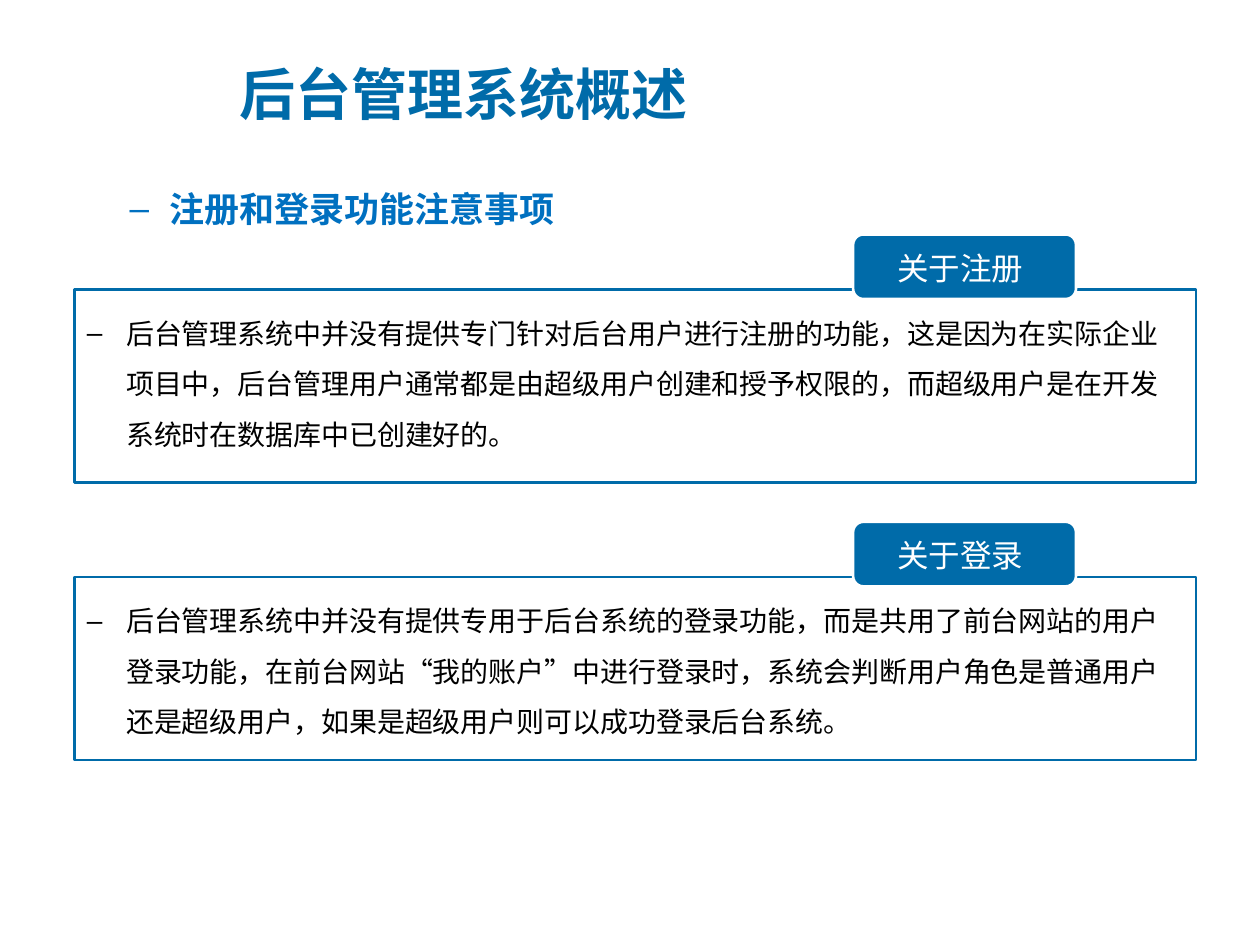
from dataclasses import dataclass
from typing import NamedTuple

from lxml import etree
from pptx import Presentation
from pptx.dml.color import RGBColor
from pptx.enum.shapes import MSO_SHAPE
from pptx.enum.text import MSO_ANCHOR, MSO_AUTO_SIZE, PP_ALIGN
from pptx.oxml.ns import qn
from pptx.util import Pt

RECTANGLE, ROUNDED = MSO_SHAPE.RECTANGLE, MSO_SHAPE.ROUNDED_RECTANGLE
TOP, MIDDLE = MSO_ANCHOR.TOP, MSO_ANCHOR.MIDDLE
LEFT, NO_FIT = PP_ALIGN.LEFT, MSO_AUTO_SIZE.NONE


@dataclass(frozen=True)
class Theme:
    brand: str = "006BA9"
    heading: str = "0070C0"
    ink: str = "000000"
    paper: str = "FFFFFF"
    cjk: str = "Noto Sans CJK SC"
    title_size: float = 32
    heading_size: float = 20
    tag_size: float = 18
    body_size: float = 16
    line_width: float = 1.5
    panel_opacity: int = 90


class Box(NamedTuple):
    left: float
    top: float
    width: float
    height: float

    def lengths(self) -> list:
        return [Pt(value) for value in self]


class TextStyle(NamedTuple):
    size: float
    color: str
    font: str
    bold: bool = False
    anchor: MSO_ANCHOR = TOP
    wrap: bool = True
    dash_margin: float = 0  # text margin of a dashed paragraph, 0 for no dash
    space_before: float = 0


class Note(NamedTuple):
    tag: str
    body: str
    top: float
    height: float


THEME = Theme()
TITLE = TextStyle(THEME.title_size, THEME.brand, THEME.cjk, bold=True, anchor=MIDDLE)
HEADING = TextStyle(THEME.heading_size, THEME.heading, "Arial", bold=True,
                    dash_margin=58.5, space_before=4)
BODY = TextStyle(THEME.body_size, THEME.ink, "Calibri", dash_margin=22.5)
TAG = TextStyle(THEME.tag_size, THEME.paper, THEME.cjk, wrap=False)

HANGING = 22.5
NOTE_LEFT, NOTE_WIDTH = 42.5, 641
NOTES = [
    Note("关于注册",
         "后台管理系统中并没有提供专门针对后台用户进行注册的功能，这是因为在实际企业项目中，"
         "后台管理用户通常都是由超级用户创建和授予权限的，而超级用户是在开发系统时在数据库中已创建好的。",
         165.6, 110),
    Note("关于登录",
         "后台管理系统中并没有提供专用于后台系统的登录功能，而是共用了前台网站的用户登录功能，"
         "在前台网站“我的账户”中进行登录时，系统会判断用户角色是普通用户还是超级用户，"
         "如果是超级用户则可以成功登录后台系统。",
         329.8, 104.4),
]


def apply(target, values: dict) -> None:
    for name, value in values.items():
        setattr(target, name, value)


def add_dash(paragraph, margin: float) -> None:
    """Hang the paragraph behind an en dash."""
    properties = paragraph._p.get_or_add_pPr()
    properties.set("marL", str(Pt(margin)))
    properties.set("indent", str(-Pt(HANGING)))
    etree.SubElement(properties, qn("a:buFont")).set("typeface", "Arial")
    etree.SubElement(properties, qn("a:buChar")).set("char", "–")


def write(shape, text: str, style: TextStyle) -> None:
    apply(shape.text_frame, {"word_wrap": style.wrap, "auto_size": NO_FIT,
                             "vertical_anchor": style.anchor})
    paragraph = shape.text_frame.paragraphs[0]
    apply(paragraph, {"alignment": LEFT, "space_before": Pt(style.space_before)})
    if style.dash_margin:
        paragraph.line_spacing = 1.5
        add_dash(paragraph, style.dash_margin)
    run = paragraph.add_run()
    run.text = text
    apply(run.font, {"size": Pt(style.size), "bold": style.bold, "name": style.font})
    run.font.color.rgb = RGBColor.from_string(style.color)
    etree.SubElement(run._r.get_or_add_rPr(), qn("a:ea")).set("typeface", THEME.cjk)


def add_text(slide, box: Box, text: str, style: TextStyle) -> None:
    write(slide.shapes.add_textbox(*box.lengths()), text, style)


def add_block(slide, kind: MSO_SHAPE, box: Box, fill: str, line: str):
    block = slide.shapes.add_shape(kind, *box.lengths())
    block.shadow.inherit = False
    block.fill.solid()
    block.fill.fore_color.rgb = RGBColor.from_string(fill)
    block.line.color.rgb = RGBColor.from_string(line)
    block.line.width = Pt(THEME.line_width)
    return block


def add_note(slide, note: Note) -> None:
    # Framed panel with its explanation
    panel = add_block(slide, RECTANGLE, Box(NOTE_LEFT, note.top, NOTE_WIDTH, note.height),
                      THEME.paper, THEME.brand)
    color = panel._element.spPr.find(qn("a:solidFill"))[0]
    etree.SubElement(color, qn("a:alpha")).set("val", str(THEME.panel_opacity * 1000))
    add_text(slide, Box(NOTE_LEFT, note.top + 2.2, NOTE_WIDTH, 90), note.body, BODY)

    # Tag over the top edge
    tag = add_block(slide, ROUNDED, Box(487.5, note.top - 31.6, 127.4, 36.9),
                    THEME.brand, THEME.paper)
    tag.adjustments[0] = 0.16
    add_text(slide, Box(505.5, note.top - 27, 87, 29), note.tag, TAG)


def main() -> None:
    presentation = Presentation()
    apply(presentation, {"slide_width": Pt(720), "slide_height": Pt(540)})
    slide = presentation.slides.add_slide(presentation.slide_layouts[5])

    # Title and heading
    title = slide.shapes.title
    title_box = Box(129.6, 31, 389.5, 44)
    apply(title, dict(zip(title_box._fields, title_box.lengths())))
    write(title, "后台管理系统概述", TITLE)
    add_text(slide, Box(31, 91.5, 628, 54), "注册和登录功能注意事项", HEADING)

    # Notes on registration and login
    for note in NOTES:
        add_note(slide, note)

    presentation.save("out.pptx")


if __name__ == "__main__":
    main()
